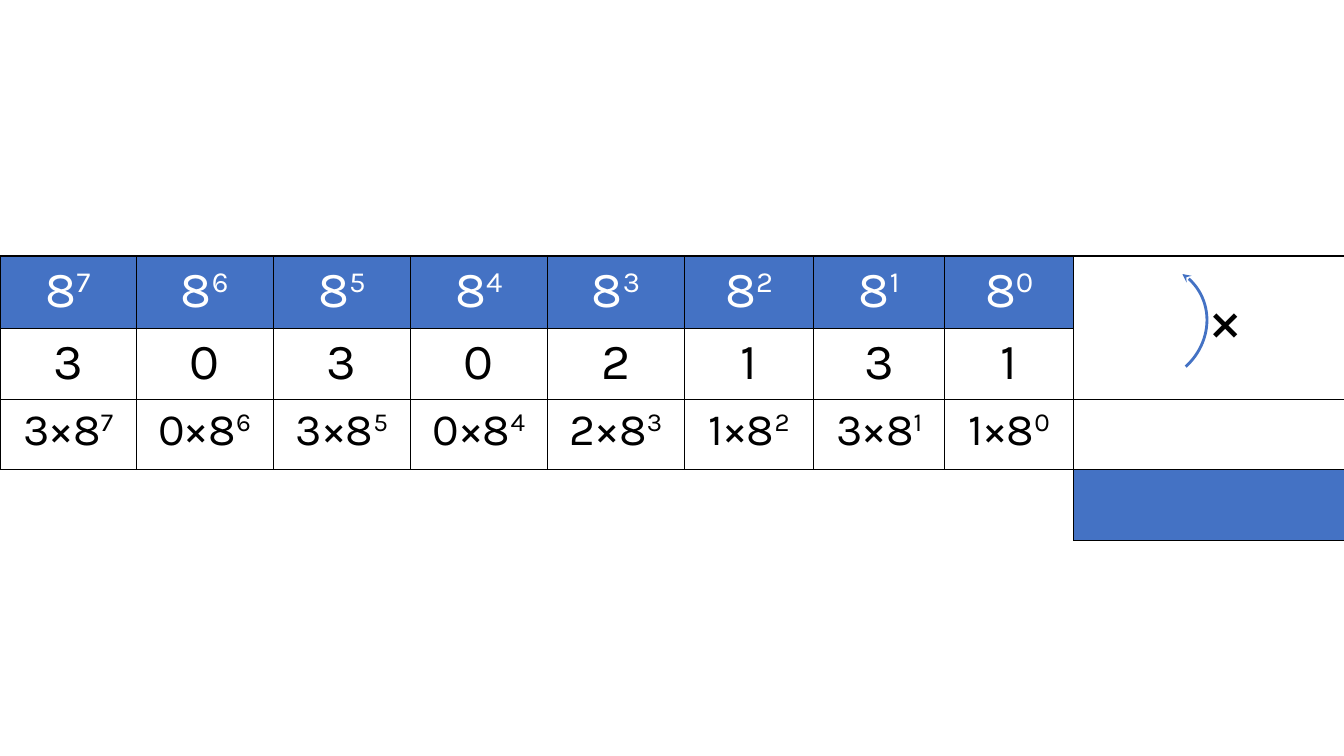
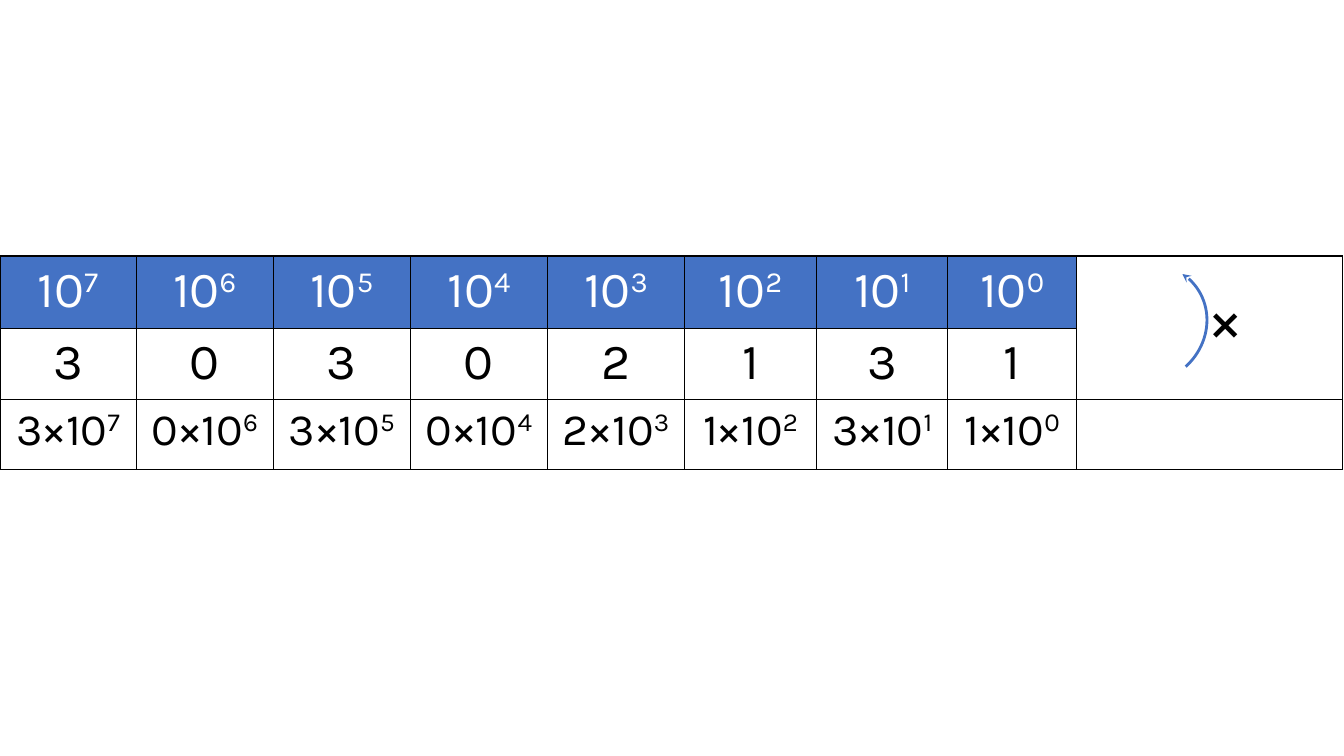
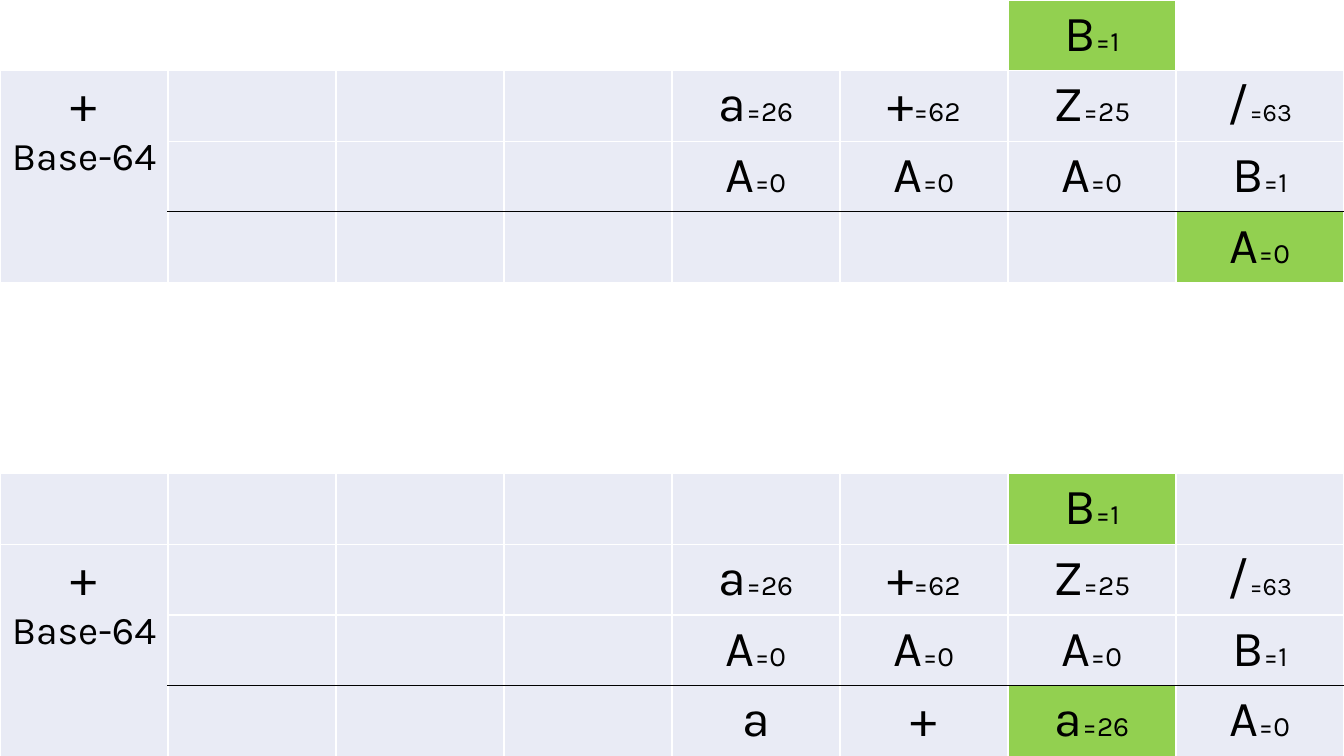
"""Build three slides on place values in base 8, base 10 and base 64."""
import pptx
import pptx.dml.color
import pptx.enum.shapes
import pptx.enum.text
import pptx.util
from lxml import etree
from pptx.oxml.ns import qn
from pptx.util import Inches

FONT = "Karla"
BLACK, WHITE, BLUE, PALE, GREEN = "000000", "FFFFFF", "4472C4", "E9EBF5", "92D050"
SLIDE_WIDTH, SLIDE_HEIGHT = 13.33, 7.5

DIGITS = "30302131"
PLACE_TOP = 2.54
PLACE_HEIGHTS = [0.72, 0.7, 0.7]
PLACE_TABLES = [
    {"base": "8", "widths": [1.35, 1.36, 1.36, 1.36, 1.36, 1.28, 1.3, 1.28, 2.7], "total": True},
    {"base": "10", "widths": [1.35, 1.36, 1.36, 1.36, 1.36, 1.31, 1.3, 1.28, 2.64], "total": False},
]

SUM_ROW_HEIGHT = 0.68
SUM_COLUMNS = 8
SUM_LABEL = [[("+", 36, False)], [("Base-64", 28, False)]]
CARRY = {6: "B=1"}
FIRST_ADDEND = {4: "a=26", 5: "+=62", 6: "Z=25", 7: "/=63"}
SECOND_ADDEND = {4: "A=0", 5: "A=0", 6: "A=0", 7: "B=1"}
SUM_TABLES = [
    {"top": 0, "carry_fill": None, "result": {7: "A=0"}, "highlight": 7},
    {"top": 4.7, "carry_fill": PALE, "result": {4: "a", 5: "+", 6: "a=26", 7: "A=0"}, "highlight": 6},
]


def rgb(value):
    return pptx.dml.color.RGBColor.from_string(value)


def add_run(paragraph, text, size, color, raised=False):
    run = paragraph.add_run()
    run.text = text
    run.font.name = FONT
    run.font.size = pptx.util.Pt(size)
    run.font.color.rgb = rgb(color)
    if raised:
        run._r.get_or_add_rPr().set("baseline", "30000")


def set_borders(cell, colors):
    properties = cell._tc.get_or_add_tcPr()
    for side, color in zip("LRTB", colors):
        line = etree.SubElement(properties, qn(f"a:ln{side}"), w="12700")
        if color is None:
            etree.SubElement(line, qn("a:noFill"))
        else:
            fill = etree.SubElement(line, qn("a:solidFill"))
            etree.SubElement(fill, qn("a:srgbClr"), val=color)


def format_cell(cell, paragraphs=(), fill=None, color=BLACK, borders=(BLACK,) * 4):
    set_borders(cell, borders)
    if fill is None:
        cell.fill.background()
    else:
        cell.fill.solid()
        cell.fill.fore_color.rgb = rgb(fill)
    frame = cell.text_frame
    for index, runs in enumerate(paragraphs):
        paragraph = frame.add_paragraph() if index else frame.paragraphs[0]
        paragraph.alignment = pptx.enum.text.PP_ALIGN.CENTER
        for text, size, raised in runs:
            add_run(paragraph, text, size, color, raised)


def add_table(slide, top, widths, heights):
    frame = slide.shapes.add_table(len(heights), len(widths), 0, Inches(top),
                                   Inches(sum(widths)), Inches(sum(heights)))
    table = frame.table
    table.first_row = table.horz_banding = False
    for column, width in zip(table.columns, widths):
        column.width = Inches(width)
    for row, height in zip(table.rows, heights):
        row.height = Inches(height)
    return table


def add_place_table(slide, base, widths, total):
    heights = PLACE_HEIGHTS + [0.7] * total
    table = add_table(slide, PLACE_TOP, widths, heights)
    last = len(DIGITS)
    for column, digit in enumerate(DIGITS):
        power = str(last - 1 - column)
        format_cell(table.cell(0, column), [[(base, 36, False), (power, 36, True)]], BLUE, WHITE)
        format_cell(table.cell(1, column), [[(digit, 36, False)]], WHITE)
        format_cell(table.cell(2, column),
                    [[(f"{digit}×{base}", 32, False), (power, 32, True)]], WHITE)
        if total:
            right = BLACK if column == last - 1 else None
            format_cell(table.cell(3, column), fill=WHITE, borders=(None, right, BLACK, None))
    for row, fill in enumerate([None, None, WHITE, BLUE][:len(heights)]):
        format_cell(table.cell(row, last), fill=fill)
    table.cell(0, last).merge(table.cell(1, last))
    if total:
        table.cell(3, 0).merge(table.cell(3, last - 1))


def add_times_arrow(slide):
    group = slide.shapes.add_group_shape()
    arc = group.shapes.add_shape(pptx.enum.shapes.MSO_SHAPE.ARC, Inches(10.82), Inches(2.61),
                                 Inches(1.13), Inches(1.21))
    arc.adjustments[0], arc.adjustments[1] = 154.82, 1.07
    arc.rotation = 46.6
    arc.shadow.inherit = False
    arc.fill.background()
    arc.line.color.rgb = rgb(BLUE)
    arc.line.width = pptx.util.Pt(2)
    etree.SubElement(arc.line._get_or_add_ln(), qn("a:headEnd"), type="stealth")

    times = group.shapes.add_textbox(Inches(11.9), Inches(2.73), Inches(0.6), Inches(0.84))
    times.text_frame.word_wrap = False
    times.text_frame.auto_size = pptx.enum.text.MSO_AUTO_SIZE.SHAPE_TO_FIT_TEXT
    add_run(times.text_frame.paragraphs[0], "×", 44, BLACK)


def symbol_paragraphs(label):
    if not label:
        return []
    symbol, equals, value = label.partition("=")
    runs = [(symbol, 36, False)]
    if value:
        runs.append((equals + value, 18 if symbol == "/" else 20, False))
    return [runs]


def add_sum_table(slide, top, carry_fill, result, highlight):
    rows = [CARRY, FIRST_ADDEND, SECOND_ADDEND, result]
    table = add_table(slide, top, [SLIDE_WIDTH / SUM_COLUMNS] * SUM_COLUMNS,
                      [SUM_ROW_HEIGHT] * len(rows))
    highlights = {(0, 6), (3, highlight)}
    for row, labels in enumerate(rows):
        for column in range(SUM_COLUMNS):
            paragraphs = symbol_paragraphs(labels.get(column))
            if (row, column) == (1, 0):
                paragraphs = SUM_LABEL
            fill = PALE if row else carry_fill
            if (row, column) in highlights:
                fill = GREEN
            above = BLACK if row == 3 and column else WHITE
            below = BLACK if row == 2 and column else WHITE
            format_cell(table.cell(row, column), paragraphs, fill,
                        borders=(WHITE, WHITE, above, below))
    table.cell(1, 0).merge(table.cell(3, 0))


def main():
    presentation = pptx.Presentation()
    presentation.slide_width = Inches(SLIDE_WIDTH)
    presentation.slide_height = Inches(SLIDE_HEIGHT)
    blank = presentation.slide_layouts[6]
    for place_table in PLACE_TABLES:
        slide = presentation.slides.add_slide(blank)
        add_place_table(slide, **place_table)
        add_times_arrow(slide)
    slide = presentation.slides.add_slide(blank)
    for sum_table in SUM_TABLES:
        add_sum_table(slide, **sum_table)
    presentation.save("out.pptx")


if __name__ == "__main__":
    main()
